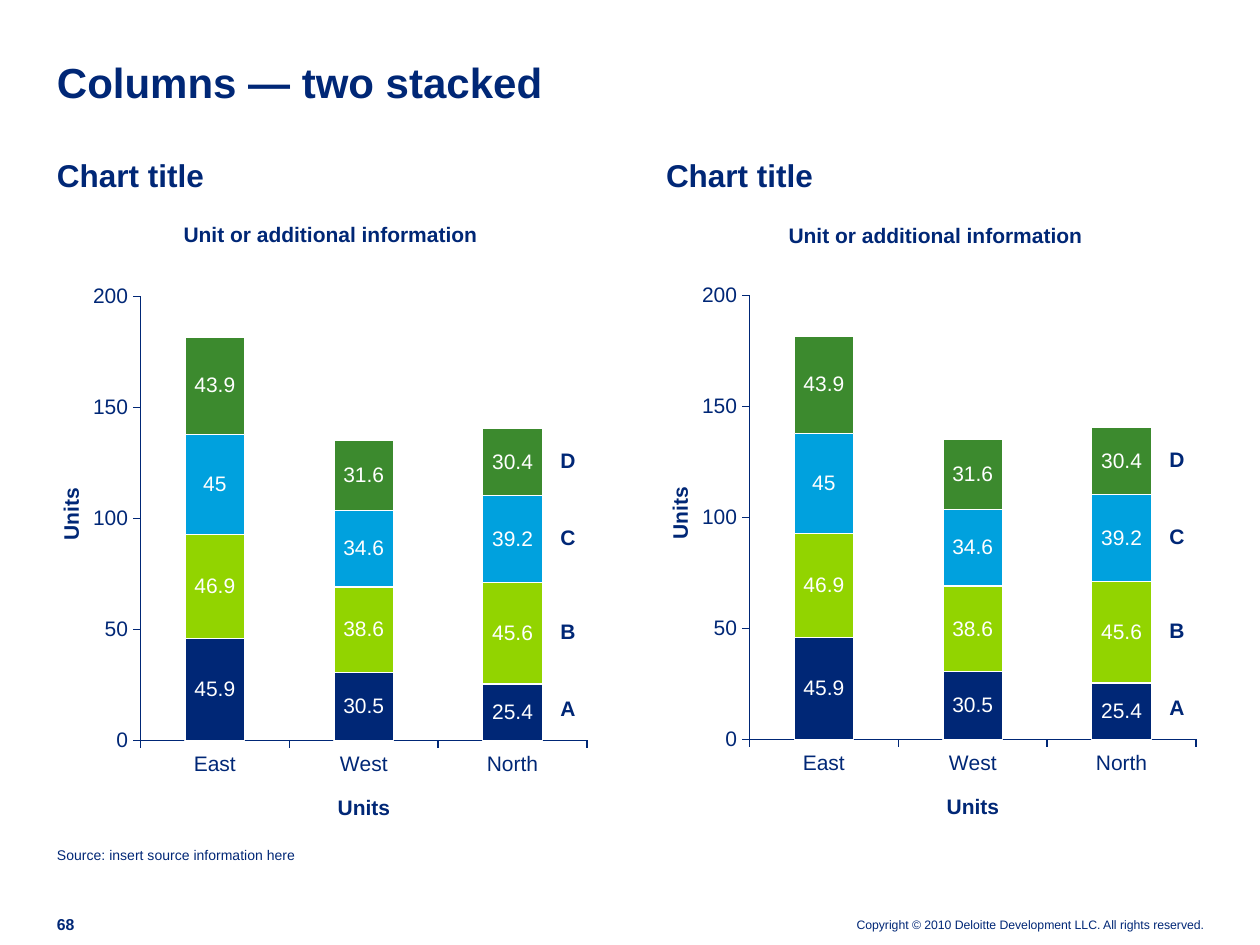
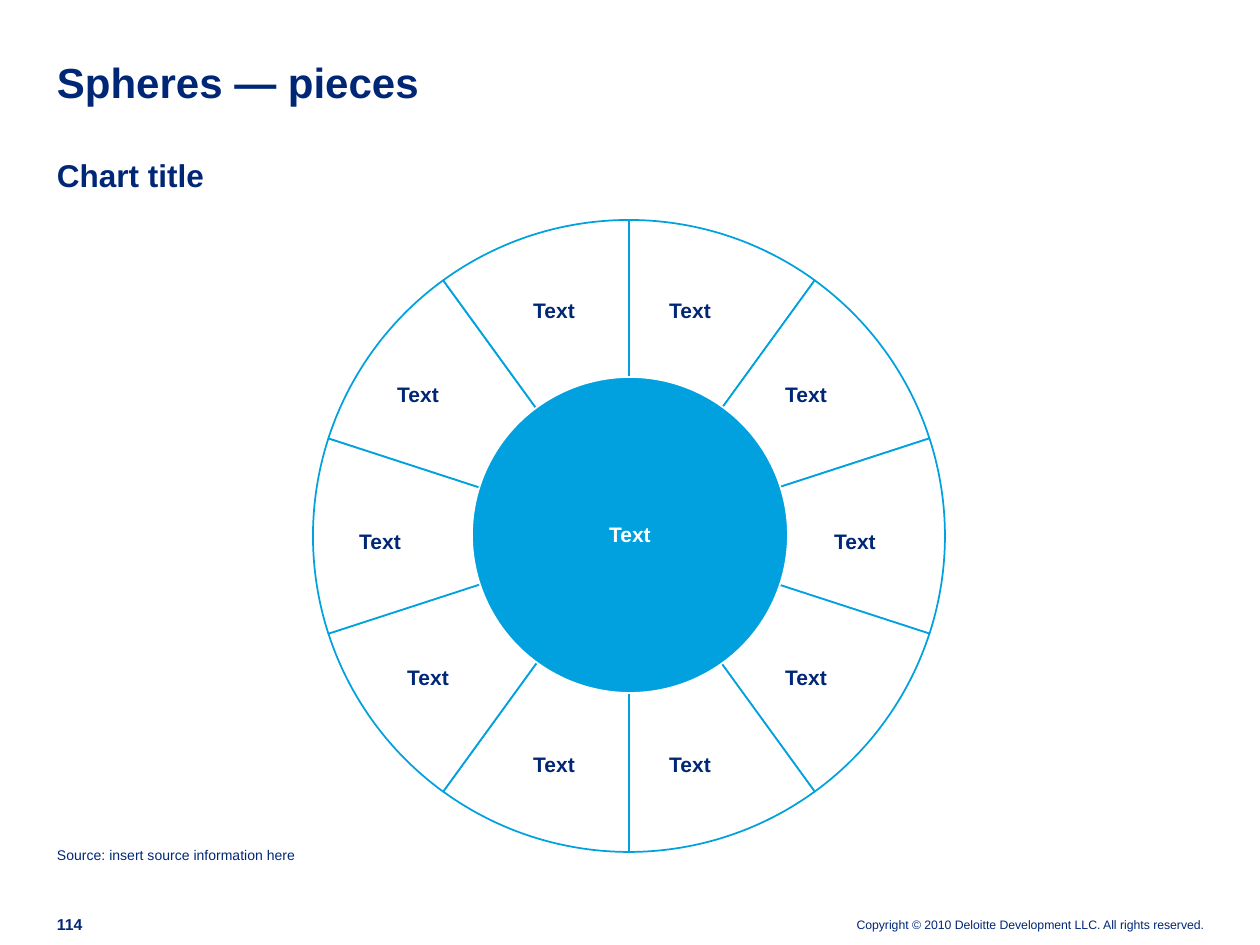
"""Build two chart slides: paired stacked columns and a ten-piece wheel."""
from math import cos, radians, sin, tan

from lxml import etree
from pptx import Presentation
from pptx.chart.data import CategoryChartData
from pptx.dml.color import RGBColor
from pptx.enum.chart import XL_CHART_TYPE, XL_LABEL_POSITION, XL_TICK_MARK
from pptx.enum.shapes import MSO_SHAPE
from pptx.enum.text import MSO_ANCHOR, PP_ALIGN
from pptx.oxml.ns import qn
from pptx.util import Emu, Pt

LEFT, CENTER, RIGHT = PP_ALIGN.LEFT, PP_ALIGN.CENTER, PP_ALIGN.RIGHT
TOP, MIDDLE, BOTTOM = MSO_ANCHOR.TOP, MSO_ANCHOR.MIDDLE, MSO_ANCHOR.BOTTOM
STACKED = XL_CHART_TYPE.COLUMN_STACKED
LABEL_CENTER = XL_LABEL_POSITION.CENTER
TICK_OUT, TICK_NONE = XL_TICK_MARK.OUTSIDE, XL_TICK_MARK.NONE
OVAL = MSO_SHAPE.OVAL

EMU_PER_PX = 914400 / 126
FONT = "Arial"
NAVY, LIME, SKY, GREEN, WHITE = "002776", "92D400", "00A1DE", "3C8A2E", "FFFFFF"

COPYRIGHT = "Copyright © 2010 Deloitte Development LLC. All rights reserved."
SOURCE = "Source: insert source information here"
CHART_TITLE = "Chart title"
CAPTION = "Unit or additional information"
AXIS_TITLE = "Units"

REGIONS = ["East", "West", "North"]
SERIES = [
    ("Series 1", [45.9, 30.5, 25.4], NAVY),
    ("Series 2", [46.9, 38.6, 45.6], LIME),
    ("Series 3", [45, 34.6, 39.2], SKY),
    ("Series 4", [43.9, 31.6, 30.4], GREEN),
]
SERIES_LETTERS = [("D", 162), ("C", 239), ("B", 333), ("A", 410)]
PANELS = [
    {"shift": 0, "chart_top": 273, "caption_at": (182, 220)},
    {"shift": 609, "chart_top": 272, "caption_at": (787, 221)},
]
PLOT_LAYOUT = {"x": 0.161, "y": 0.046, "w": 0.821, "h": 0.867}

PIECE_TEXT = "Text"
PIECE_LABELS = [
    (533, 296), (669, 296), (785, 380), (834, 527), (785, 663),
    (669, 750), (533, 750), (407, 663), (359, 527), (397, 380),
]
WHEEL_CENTER, WHEEL_RADIUS = (629, 536), 316
HUB = (472, 377, 316, 316)


def px(length):
    return Emu(round(length * EMU_PER_PX))


def color(value):
    return RGBColor.from_string(value)


def style_font(font, size, fill, bold=False):
    font.name, font.size, font.bold = FONT, Pt(size), bold
    font.color.rgb = color(fill)


def style_line(line, fill, width):
    line.color.rgb = color(fill)
    line.width = Pt(width)


def fill_text(shape, text, size=12, fill=NAVY, bold=True, align=LEFT,
              anchor=TOP, inset=(0, 0), wrap=True, spacing=None):
    frame = shape.text_frame
    frame.word_wrap, frame.vertical_anchor = wrap, anchor
    frame.margin_left = frame.margin_right = px(inset[0])
    frame.margin_top = frame.margin_bottom = px(inset[1])
    para = frame.paragraphs[0]
    para.alignment, para.line_spacing = align, spacing
    span = para.add_run()
    span.text = text
    style_font(span.font, size, fill, bold)


def add_text(page, text, left, top, width, height, rotation=0, **text_format):
    box = page.shapes.add_textbox(px(left), px(top), px(width), px(height))
    box.rotation = rotation
    fill_text(box, text, **text_format)


def add_page(deck, title, number):
    page = deck.slides.add_slide(deck.slide_layouts[6])
    add_text(page, COPYRIGHT, 822, 917, 382, 15, size=7, bold=False,
             align=RIGHT, anchor=BOTTOM)
    add_text(page, number, 57, 915, 37, 19, size=9, anchor=BOTTOM)
    add_text(page, title, 57, 62, 1148, 45, size=24, anchor=BOTTOM, spacing=Pt(26))
    add_text(page, SOURCE, 57, 847, 551, 18, size=8, bold=False)
    return page


def add_chart_title(page, left):
    add_text(page, CHART_TITLE, left, 156, 270, 38, size=18)


def set_plot_layout(chart):
    area = chart.plots[0]._element.getparent()
    for old in area.findall(qn("c:layout")):
        area.remove(old)
    layout = etree.Element(qn("c:layout"))
    manual = etree.SubElement(layout, qn("c:manualLayout"))
    settings = [("layoutTarget", "inner"), ("xMode", "edge"), ("yMode", "edge")]
    for tag, value in settings + list(PLOT_LAYOUT.items()):
        etree.SubElement(manual, qn(f"c:{tag}")).set("val", str(value))
    area.insert(0, layout)


def add_columns(page, left, top):
    data = CategoryChartData()
    data.categories = REGIONS
    for name, values, _ in SERIES:
        data.add_series(name, values)
    chart = page.shapes.add_chart(STACKED, px(left), px(top), px(544), px(512), data).chart
    chart.has_legend = chart.has_title = False
    style_font(chart.font, 12, NAVY)
    set_plot_layout(chart)

    plot = chart.plots[0]
    plot.gap_width, plot.overlap, plot.vary_by_categories = 150, 100, False
    for series, (_, _, fill) in zip(plot.series, SERIES):
        series.format.fill.solid()
        series.format.fill.fore_color.rgb = color(fill)
        style_line(series.format.line, WHITE, 0.75)
        labels = series.data_labels
        labels.show_value, labels.position = True, LABEL_CENTER
        style_font(labels.font, 12, WHITE)

    for axis in (chart.category_axis, chart.value_axis):
        axis.has_major_gridlines = False
        axis.major_tick_mark, axis.minor_tick_mark = TICK_OUT, TICK_NONE
        style_font(axis.tick_labels.font, 12, NAVY)
        style_line(axis.format.line, NAVY, 0.75)
    scale = chart.value_axis
    scale.minimum_scale, scale.maximum_scale, scale.major_unit = 0, 200, 50


def add_panel(page, shift, chart_top, caption_at):
    label = {"align": CENTER, "wrap": False}
    axis_label = {"inset": (6, 6), **label}
    add_columns(page, 53 + shift, chart_top)
    add_text(page, AXIS_TITLE, 325 + shift, 516 + chart_top, 78, 38, **axis_label)
    add_text(page, AXIS_TITLE, 32 + shift, 222 + chart_top, 78, 38, rotation=270,
             **axis_label)
    for letter, offset in SERIES_LETTERS:
        add_text(page, letter, 548 + shift, chart_top + offset, 40, 50,
                 inset=(10, 13), **label)
    add_chart_title(page, 57 + shift)
    add_text(page, CAPTION, *caption_at, 297, 26, spacing=1.06, **label)


def style_shape(shape, fill, line):
    shape.shadow.inherit = False
    shape.fill.solid()
    shape.fill.fore_color.rgb = color(fill)
    style_line(shape.line, line, 1)


def rim_point(degrees, lean=0):
    angle = radians(degrees)
    x = WHEEL_CENTER[0] + WHEEL_RADIUS * (sin(angle) + lean * cos(angle))
    y = WHEEL_CENTER[1] - WHEEL_RADIUS * (cos(angle) - lean * sin(angle))
    return px(x), px(y)


def curve_rim(shape, angles):
    lean = 4 / 3 * tan(radians(angles[1] - angles[0]) / 4)
    segments = list(shape._element.iter(qn("a:lnTo")))[1:]
    for segment, start, end in zip(segments, angles, angles[1:]):
        curve = etree.Element(qn("a:cubicBezTo"))
        for x, y in (rim_point(start, lean), rim_point(end, -lean), rim_point(end)):
            point = etree.SubElement(curve, qn("a:pt"))
            point.set("x", str(x - shape.left))
            point.set("y", str(y - shape.top))
        segment.getparent().replace(segment, curve)


def add_wheel(page):
    step = 360 // len(PIECE_LABELS)
    for start in range(0, 360, step):
        angles = [start, start + step // 2, start + step]
        builder = page.shapes.build_freeform(*map(px, WHEEL_CENTER))
        builder.add_line_segments([rim_point(angle) for angle in angles], close=True)
        piece = builder.convert_to_shape()
        curve_rim(piece, angles)
        style_shape(piece, WHITE, SKY)
    hub = page.shapes.add_shape(OVAL, *map(px, HUB))
    style_shape(hub, SKY, WHITE)
    fill_text(hub, PIECE_TEXT, fill=WHITE, align=CENTER, anchor=MIDDLE, spacing=0.95)
    for left, top in PIECE_LABELS:
        add_text(page, PIECE_TEXT, left, top, 42, 26, align=CENTER, wrap=False,
                 spacing=1.06)


def main():
    deck = Presentation()
    deck.slide_width, deck.slide_height = px(1260), px(945)

    columns_page = add_page(deck, "Columns — two stacked", "68")
    for panel in PANELS:
        add_panel(columns_page, **panel)

    wheel_page = add_page(deck, "Spheres — pieces", "114")
    add_chart_title(wheel_page, 57)
    add_wheel(wheel_page)

    deck.save("out.pptx")


if __name__ == "__main__":
    main()
